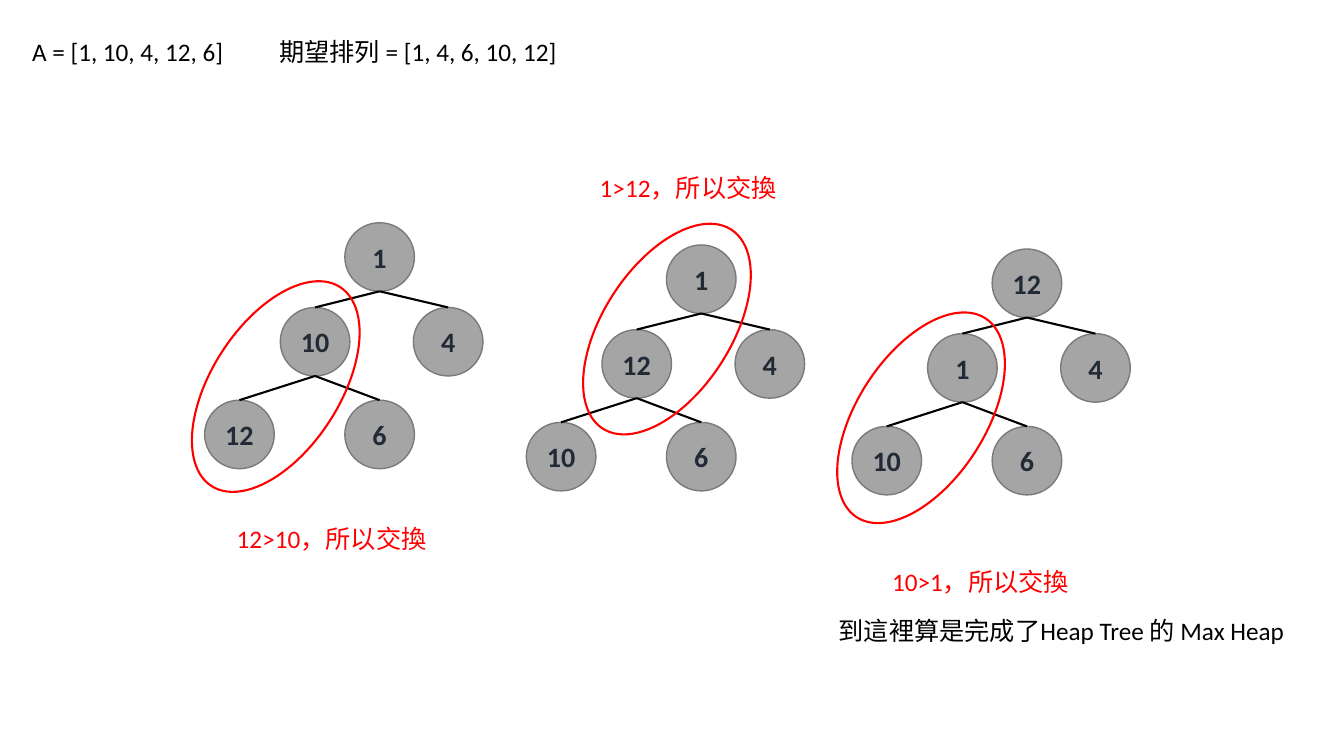
from pptx import Presentation
from pptx.dml.color import RGBColor
from pptx.enum.shapes import MSO_CONNECTOR, MSO_SHAPE
from pptx.enum.text import MSO_ANCHOR, PP_ALIGN
from pptx.oxml.ns import qn
from pptx.util import Inches, Pt
from lxml import etree

OVAL = MSO_SHAPE.OVAL
STRAIGHT = MSO_CONNECTOR.STRAIGHT
MIDDLE = MSO_ANCHOR.MIDDLE
CENTER = PP_ALIGN.CENTER

BLACK = RGBColor(0x00, 0x00, 0x00)
RED = RGBColor(0xFF, 0x00, 0x00)
NODE_FILL = RGBColor(0xA5, 0xA5, 0xA5)
NODE_LINE = RGBColor(0x7A, 0x7A, 0x7A)
NODE_TEXT = RGBColor(0x22, 0x2A, 0x35)

FONT = "Calibri"
NODE_WIDTH, NODE_HEIGHT = 0.69, 0.68
RING_WIDTH, RING_HEIGHT, RING_ROTATION = 1.27, 2.35, 32.9
NODE_OFFSETS = [(0, 0), (-0.64, 0.84), (0.68, 0.84), (-1.39, 1.76), (0, 1.76)]
EDGES = [(0, 1), (0, 2), (1, 3), (1, 4)]

HEAP_STEPS = [
    ((3.42, 2.21), ["1", "10", "4", "12", "6"], (2.1, 2.66)),
    ((6.61, 2.43), ["1", "12", "4", "10", "6"], (5.98, 2.09)),
    ((9.84, 2.47), ["12", "1", "4", "10", "6"], (8.5, 2.97)),
]

LABELS = [
    ("A = [1, 10, 4, 12, 6]", 0.22, 0.31, 2.2, BLACK),
    ("期望排列 = [1, 4, 6, 10, 12]", 2.67, 0.31, 3.08, BLACK),
    ("12>10，所以交換", 2.25, 5.14, 2.2, RED),
    ("1>12，所以交換", 5.85, 1.66, 2.2, RED),
    ("10>1，所以交換", 8.75, 5.57, 2.2, RED),
    ("到這裡算是完成了Heap Tree 的 Max Heap", 8.22, 6.06, 4.89, BLACK),
]


def format_text(text_frame, size, color, bold=False):
    font = text_frame.paragraphs[0].runs[0].font
    font.name = FONT
    font.size = Pt(size)
    font.bold = bold
    font.color.rgb = color


def add_label(slide, text, left, top, width, color):
    box = slide.shapes.add_textbox(Inches(left), Inches(top), Inches(width), Inches(0.4))
    box.text_frame.word_wrap = True
    box.text_frame.text = text
    format_text(box.text_frame, 18, color)


def add_oval(slide, left, top, width, height, line_color, line_width):
    oval = slide.shapes.add_shape(OVAL, Inches(left), Inches(top), Inches(width), Inches(height))
    oval.shadow.inherit = False
    oval.line.color.rgb = line_color
    oval.line.width = Pt(line_width)
    return oval


def add_node(slide, value, left, top):
    node = add_oval(slide, left, top, NODE_WIDTH, NODE_HEIGHT, NODE_LINE, 1)
    node.fill.solid()
    node.fill.fore_color.rgb = NODE_FILL
    text_frame = node.text_frame
    text_frame.word_wrap = False
    text_frame.vertical_anchor = MIDDLE
    text_frame.text = value
    text_frame.paragraphs[0].alignment = CENTER
    format_text(text_frame, 20, NODE_TEXT, bold=True)


def add_edge(slide, parent, child):
    (parent_left, parent_top), (child_left, child_top) = parent, child
    edge = slide.shapes.add_connector(
        STRAIGHT,
        Inches(parent_left + NODE_WIDTH / 2), Inches(parent_top + NODE_HEIGHT),
        Inches(child_left + NODE_WIDTH / 2), Inches(child_top),
    )
    edge.line.color.rgb = BLACK
    edge.line.width = Pt(1.5)
    etree.SubElement(edge._element.spPr, qn("a:effectLst"))


def add_swap_ring(slide, left, top):
    ring = add_oval(slide, left, top, RING_WIDTH, RING_HEIGHT, RED, 1.5)
    ring.fill.background()
    ring.rotation = RING_ROTATION


def add_heap(slide, root, values, ring):
    positions = [(root[0] + across, root[1] + down) for across, down in NODE_OFFSETS]
    for value, position in zip(values, positions):
        add_node(slide, value, *position)
    for parent, child in EDGES:
        add_edge(slide, positions[parent], positions[child])
    add_swap_ring(slide, *ring)


def main():
    presentation = Presentation()
    presentation.slide_width = Inches(13.33)
    presentation.slide_height = Inches(7.5)
    slide = presentation.slides.add_slide(presentation.slide_layouts[6])
    for step in HEAP_STEPS:
        add_heap(slide, *step)
    for label in LABELS:
        add_label(slide, *label)
    presentation.save("out.pptx")


main()
